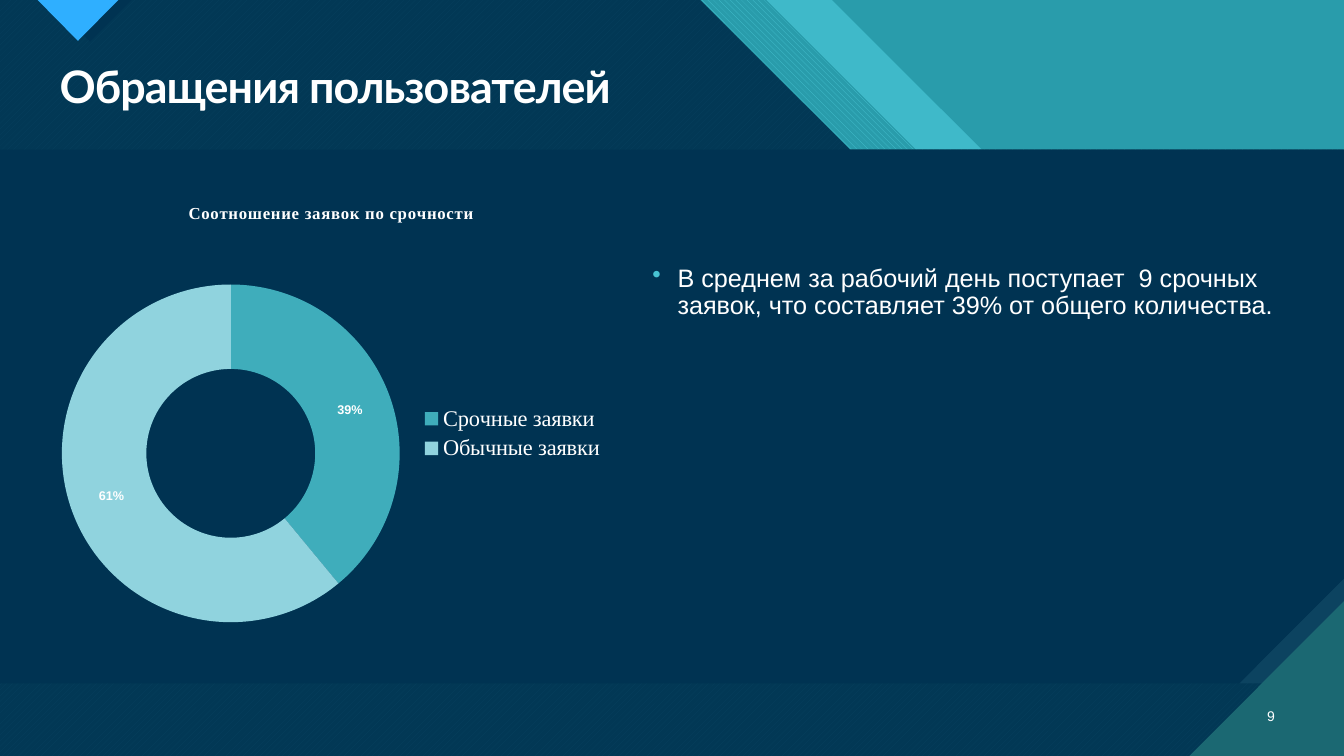
from lxml import etree
from pptx import Presentation
from pptx.chart.data import CategoryChartData
from pptx.dml.color import RGBColor
from pptx.enum.chart import XL_CHART_TYPE, XL_LEGEND_POSITION
from pptx.enum.dml import MSO_PATTERN
from pptx.enum.text import MSO_ANCHOR, PP_ALIGN
from pptx.oxml.ns import qn
from pptx.util import Inches, Pt

WIDTH, HEIGHT = Inches(13.33), Inches(7.5)
COLORS = {
    "navy": "003352",
    "slate": "0C4360",
    "teal": "299CAB",
    "aqua": "47C3D3",
    "band": "3FB9C9",
    "pine": "1B6872",
    "blue": "2FAFFF",
    "white": "FFFFFF",
    "urgent": "3FADBB",
    "regular": "90D3DE",
}

# Shares of the slide's width and height
HEADER = 0.198
FOOTER = 0.904
SLANT = HEADER * HEIGHT / WIDTH  # a 45 degree edge across the header
BAND_EDGES = (0.521, 0.57, 0.619)


def color(name):
    return RGBColor.from_string(COLORS[name])


def add_polygon(slide, points, fill, pattern=None, back=None, opacity=None):
    """Draw a closed outline whose points are shares of the slide."""
    corners = [(x * WIDTH, y * HEIGHT) for x, y in points]
    builder = slide.shapes.build_freeform(*corners[0])
    builder.add_line_segments(corners[1:], close=True)
    shape = builder.convert_to_shape()
    shape.shadow.inherit = False
    shape.line.fill.background()
    if pattern:
        shape.fill.patterned()
        shape.fill.pattern = pattern
        shape.fill.back_color.rgb = color(back)
    else:
        shape.fill.solid()
    shape.fill.fore_color.rgb = color(fill)
    if opacity:
        value = next(shape.element.spPr.iter(qn("a:srgbClr")))
        etree.SubElement(value, qn("a:alpha"), val=str(opacity * 1000))


def format_font(font, size, face="Arial", bold=False):
    font.size, font.name, font.bold = Pt(size), face, bold
    font.color.rgb = color("white")


def write_text(frame, text, size, face="Arial", bold=False, align=None,
               line_spacing=None, space_before=None, tracking=None, bullet=None):
    paragraph = frame.paragraphs[0]
    paragraph.alignment = align
    paragraph.line_spacing = line_spacing
    if space_before is not None:
        paragraph.space_before = Pt(space_before)
    run = paragraph.add_run()
    run.text = text
    format_font(run.font, size, face, bold)
    if tracking:
        run.font._element.set("spc", str(tracking))
    if bullet:
        properties = paragraph._p.get_or_add_pPr()
        properties.set("marL", str(Inches(0.25)))
        properties.set("indent", str(-Inches(0.25)))
        holder = etree.SubElement(properties, qn("a:buClr"))
        etree.SubElement(holder, qn("a:srgbClr"), val=COLORS["aqua"])
        etree.SubElement(properties, qn("a:buChar"), char=bullet)


def add_text(slide, area, text, anchor=MSO_ANCHOR.TOP, **text_format):
    left, top, width, height = area
    box = slide.shapes.add_textbox(left * WIDTH // 1, top * HEIGHT // 1,
                                   width * WIDTH // 1, height * HEIGHT // 1)
    frame = box.text_frame
    frame.word_wrap = True
    frame.vertical_anchor = anchor
    write_text(frame, text, **text_format)


def set_layout(element, index, **places):
    """Fix the place of a chart part, in shares of the chart."""
    for old in element.findall(qn("c:layout")):
        element.remove(old)
    layout = etree.Element(qn("c:layout"))
    manual = etree.SubElement(layout, qn("c:manualLayout"))
    if "w" in places:
        etree.SubElement(manual, qn("c:layoutTarget"), val="inner")
    for axis in ("x", "y"):
        etree.SubElement(manual, qn(f"c:{axis}Mode"), val="edge")
    for name, value in places.items():
        etree.SubElement(manual, qn(f"c:{name}"), val=str(value))
    element.insert(index, layout)


def add_doughnut(slide, area, title, values):
    left, top, width, height = area
    data = CategoryChartData()
    data.categories = list(values)
    data.add_series("Series 1", list(values.values()))
    chart = slide.shapes.add_chart(
        XL_CHART_TYPE.DOUGHNUT, left * WIDTH // 1, top * HEIGHT // 1,
        width * WIDTH // 1, height * HEIGHT // 1, data).chart
    format_font(chart.font, 10)

    # Title and legend
    chart.has_title = True
    write_text(chart.chart_title.text_frame, title, size=12,
               face="Times New Roman", bold=True, tracking=50)
    set_layout(chart.chart_title._element, 1, x=0.24, y=0.03)
    chart.has_legend = True
    chart.legend.position = XL_LEGEND_POSITION.RIGHT
    chart.legend.include_in_layout = False
    format_font(chart.legend.font, 16, "Times New Roman")

    # Ring
    plot = chart.plots[0]
    plot.vary_by_categories = True
    plot._element.find(qn("c:holeSize")).set("val", "50")
    set_layout(plot._element.getparent(), 0, x=0.02, y=0.2, w=0.6, h=0.68)
    for index, name in enumerate(("urgent", "regular")):
        point = plot.series[0].points[index].format
        point.fill.solid()
        point.fill.fore_color.rgb = color(name)
        point.line.fill.background()
    plot.has_data_labels = True
    labels = plot.data_labels
    labels.show_percentage, labels.show_value = True, False
    labels.number_format, labels.number_format_is_linked = "0%", False
    format_font(labels.font, 9, bold=True)


def add_backdrop(slide):
    slide.background.fill.solid()
    slide.background.fill.fore_color.rgb = color("teal")

    # Slanted header bands
    start, middle, end = BAND_EDGES
    bands = (
        (middle, end, {"fill": "band"}),
        (start, middle, {"fill": "aqua", "back": "teal",
                         "pattern": MSO_PATTERN.WIDE_DOWNWARD_DIAGONAL}),
    )
    for left, right, style in bands:
        add_polygon(slide, [(left, 0), (right, 0), (right + SLANT, HEADER),
                            (left + SLANT, HEADER)], **style)

    # Dark base under a translucent cover
    base = [(0, 0), (start, 0), (start + SLANT, HEADER), (1, HEADER), (1, 1), (0, 1)]
    add_polygon(slide, base, "aqua", MSO_PATTERN.WIDE_UPWARD_DIAGONAL, "pine")
    add_polygon(slide, base, "navy", opacity=90)

    # Top marker with its shade
    add_polygon(slide, [(0.036, 0), (0.098, 0), (0.067, 0.055)], "navy")
    add_polygon(slide, [(0.028, 0), (0.088, 0), (0.058, 0.054)], "blue")

    # Content panel with a cut corner
    cut = [(1, 0.765), (0.922, FOOTER)]
    add_polygon(slide, cut + [(1, FOOTER)], "slate")
    add_polygon(slide, [(0, HEADER), (1, HEADER)] + cut + [(0, FOOTER)], "navy")
    add_polygon(slide, [(0.885, 1), (1, 1), (1, 0.795)], "pine")


def main():
    presentation = Presentation()
    presentation.slide_width, presentation.slide_height = WIDTH, HEIGHT
    slide = presentation.slides.add_slide(presentation.slide_layouts[6])
    add_backdrop(slide)
    add_text(slide, (0.037, 0.079, 0.92, 0.079), "Обращения пользователей",
             size=32, face="Lato", bold=True, line_spacing=0.9, tracking=-70)
    add_text(slide, (0.923, 0.921, 0.033, 0.053), "9", size=10,
             anchor=MSO_ANCHOR.MIDDLE, align=PP_ALIGN.RIGHT)
    add_text(slide, (0.478, 0.345, 0.479, 0.099),
             "В среднем за рабочий день поступает  9 срочных заявок, "
             "что составляет 39% от общего количества.",
             size=18, line_spacing=0.9, space_before=10, bullet="•")
    add_doughnut(slide, (0.037, 0.245, 0.421, 0.657),
                 "Соотношение заявок по срочности",
                 {"Срочные заявки": 39, "Обычные заявки": 61})
    presentation.save("out.pptx")


if __name__ == "__main__":
    main()
